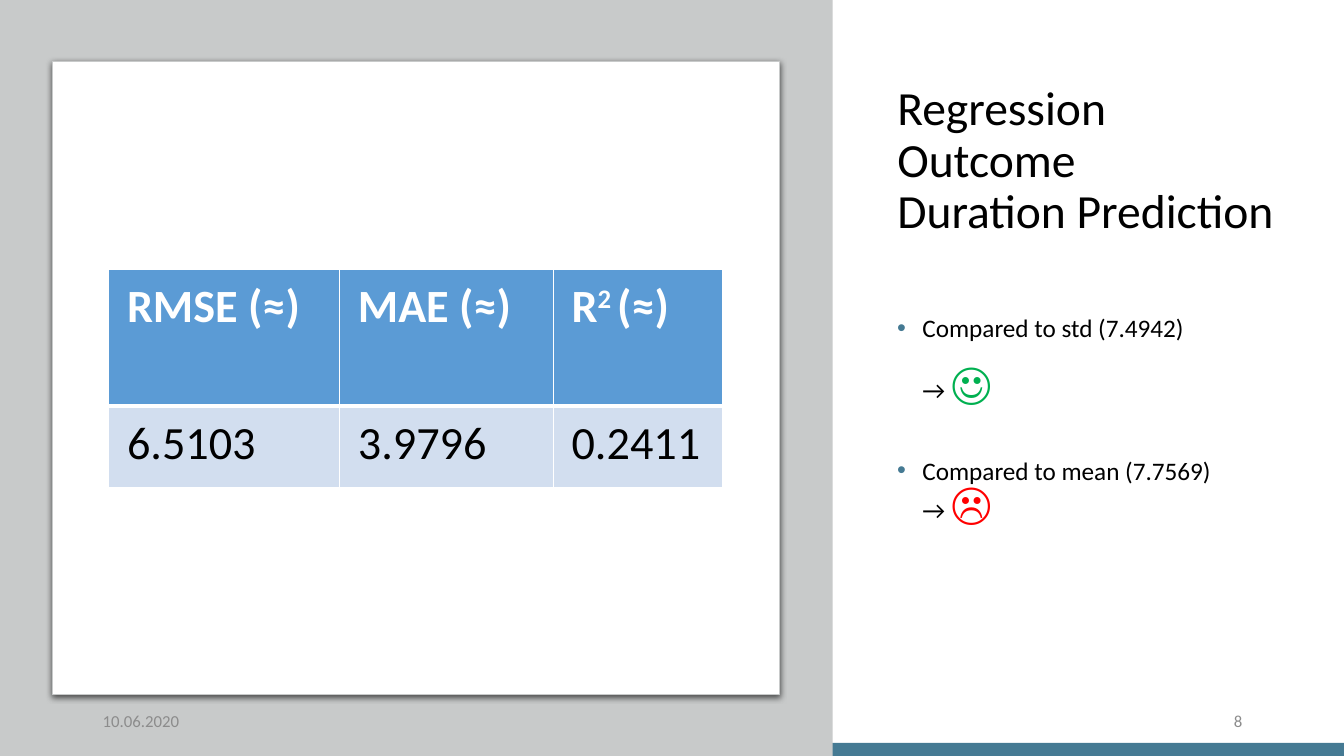
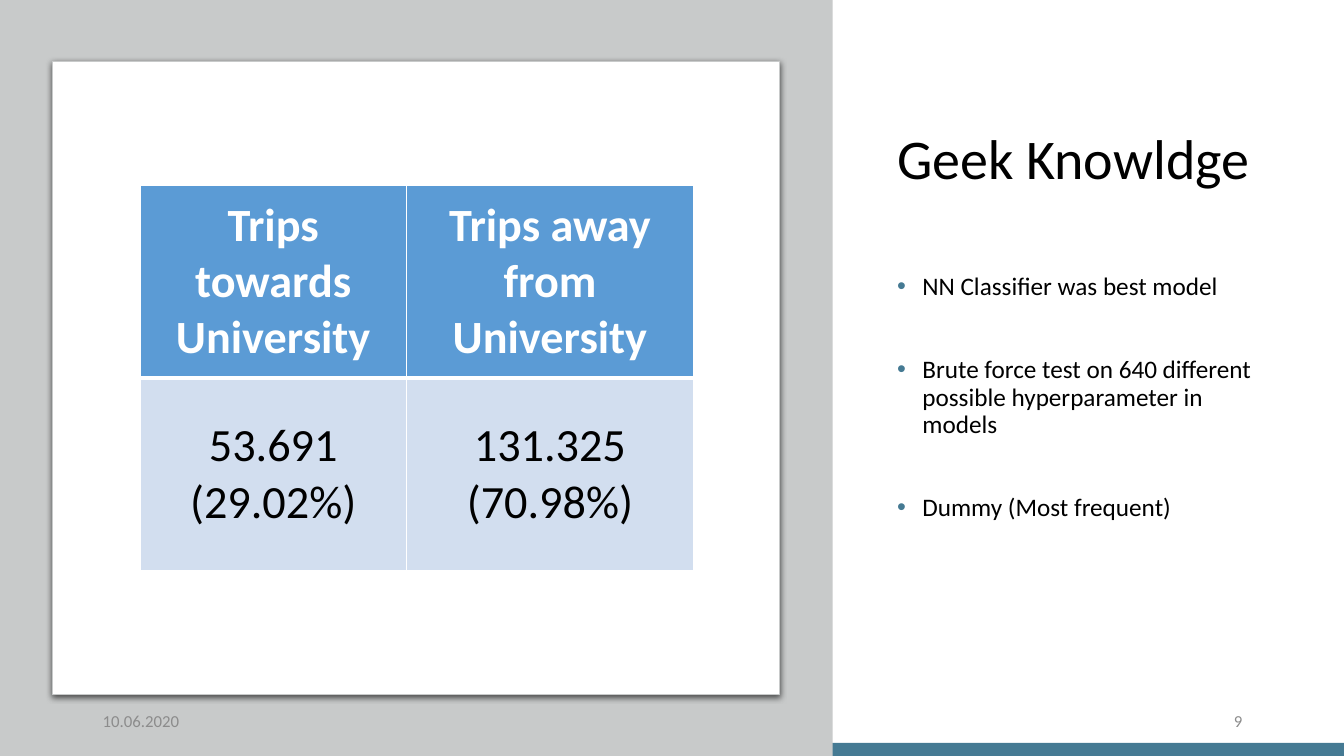
"""Build two slides with result tables beside a text panel."""
from dataclasses import dataclass
from typing import Any

import pptx
import pptx.dml.color
import pptx.enum.shapes
import pptx.enum.text
import pptx.oxml
import pptx.oxml.ns
import pptx.util

RGBColor = pptx.dml.color.RGBColor
Inches = pptx.util.Inches
Pt = pptx.util.Pt
Align = pptx.enum.text.PP_ALIGN
Anchor = pptx.enum.text.MSO_ANCHOR

FONT = "Calibri"
TEAL = RGBColor(0x45, 0x7A, 0x93)
GREY = RGBColor(0xC8, 0xCA, 0xCA)
WHITE = RGBColor(0xFF, 0xFF, 0xFF)
BLACK = RGBColor(0x00, 0x00, 0x00)
MUTED = RGBColor(0x8C, 0x8C, 0x8C)
BLUE = RGBColor(0x5B, 0x9B, 0xD5)
PALE = RGBColor(0xD2, 0xDE, 0xEF)
GREEN = RGBColor(0x00, 0xB0, 0x50)
RED = RGBColor(0xFF, 0x00, 0x00)
NS = pptx.oxml.ns.nsdecls("a")

WIDTH, HEIGHT = 13.33, 7.5
SPLIT = 8.26
LEFT = 8.8


@dataclass(frozen=True)
class Span:
    """A piece of text with its own format."""
    text: str
    size: float = 18
    color: RGBColor = BLACK
    raised: bool = False


@dataclass(frozen=True)
class Item:
    """A paragraph of the text panel."""
    spans: tuple[Span, ...]
    before: float = 0
    bullet: bool = True


@dataclass(frozen=True)
class Grid:
    """A table with a header row and a value row."""
    left: float
    top: float
    cols: tuple[float, ...]
    rows: tuple[float, ...]
    cells: tuple[tuple[tuple[Span, ...], ...], ...]
    align: Align
    anchor: Anchor


@dataclass(frozen=True)
class Page:
    """The content of one slide."""
    number: int
    title: str
    size: float
    top: float
    pitch: float
    items: tuple[Item, ...]
    grid: Grid


def plain(*texts: str) -> tuple[tuple[Span, ...], ...]:
    """Turn strings into cells of one span each."""
    return tuple((Span(text),) for text in texts)


def write(para: Any, text: str, *, size: float, color: RGBColor = BLACK,
          bold: bool = False, raised: bool = False) -> None:
    """Add formatted text, with a line break at each newline."""
    for index, line in enumerate(text.split("\n")):
        if index:
            para.add_line_break()
        run = para.add_run()
        run.text = line
        run.font.name = FONT
        run.font.size = Pt(size)
        run.font.bold = bold
        run.font.color.rgb = color
        if raised:
            run._r.get_or_add_rPr().set("baseline", "30000")


def block(slide: Any, left: float, top: float, width: float, height: float,
          fill: RGBColor) -> Any:
    """Draw a filled rectangle without line or shadow."""
    shape = slide.shapes.add_shape(
        pptx.enum.shapes.MSO_SHAPE.RECTANGLE,
        Inches(left), Inches(top), Inches(width), Inches(height))
    shape.fill.solid()
    shape.fill.fore_color.rgb = fill
    shape.line.fill.background()
    shape.shadow.inherit = False
    return shape


def field(slide: Any, left: float, top: float, width: float, height: float,
          anchor: Anchor = Anchor.TOP) -> Any:
    """Add a wrapping text box and return its frame."""
    box = slide.shapes.add_textbox(
        Inches(left), Inches(top), Inches(width), Inches(height))
    frame = box.text_frame
    frame.word_wrap = True
    frame.vertical_anchor = anchor
    return frame


def base(slide: Any, page: Page) -> None:
    """Draw the bands, card, title and footer."""
    block(slide, 0, 7.37, WIDTH, 0.13, TEAL)
    block(slide, 0, 0, SPLIT, HEIGHT, GREY)
    card = block(slide, 0.52, 0.61, 7.21, 6.28, WHITE)
    card.line.color.rgb = GREY
    card.line.width = Pt(0.75)
    effect = card._element.spPr.find(pptx.oxml.ns.qn("a:effectLst"))
    effect.append(pptx.oxml.parse_xml(
        f'<a:outerShdw {NS} blurRad="{Pt(4.5)}" dist="{Pt(1.5)}" '
        'dir="5400000" algn="t" rotWithShape="0"><a:srgbClr val="000000">'
        '<a:alpha val="63000"/></a:srgbClr></a:outerShdw>'))

    title = slide.shapes.title
    title.left, title.top = Inches(LEFT), Inches(0.69)
    title.width, title.height = Inches(4.01), Inches(1.83)
    frame = title.text_frame
    frame.word_wrap = True
    frame.auto_size = pptx.enum.text.MSO_AUTO_SIZE.NONE
    frame.vertical_anchor = Anchor.MIDDLE
    para = frame.paragraphs[0]
    para.alignment = Align.LEFT
    para.line_spacing = 0.9
    write(para, page.title, size=page.size)

    for left, text, align in ((0.92, "10.06.2020", Align.LEFT),
                              (9.42, str(page.number), Align.RIGHT)):
        para = field(slide, left, 6.95, 3, 0.4, Anchor.MIDDLE).paragraphs[0]
        para.alignment = align
        write(para, text, size=12, color=MUTED)


def panel(slide: Any, page: Page) -> None:
    """Write the paragraphs beside the card."""
    frame = field(slide, LEFT, page.top, 4.01, 6.8 - page.top)
    for index, item in enumerate(page.items):
        para = frame.add_paragraph() if index else frame.paragraphs[0]
        props = para._p.get_or_add_pPr()
        props.set("marL", str(Inches(0.25)))
        if item.bullet:
            props.set("indent", str(-Inches(0.25)))
            for mark in (f'<a:buClr {NS}><a:srgbClr val="{TEAL}"/></a:buClr>',
                         f'<a:buFont {NS} typeface="Arial"/>',
                         f'<a:buChar {NS} char="•"/>'):
                props.append(pptx.oxml.parse_xml(mark))
        para.line_spacing = page.pitch
        para.space_before = Pt(item.before)
        for span in item.spans:
            write(para, span.text, size=span.size, color=span.color)


def edge(cell: Any, head: bool) -> None:
    """Give a cell white borders, thick between the rows."""
    props = cell._tc.get_or_add_tcPr()
    thick = "B" if head else "T"
    for side in "LRTB":
        width = Pt(3 if side == thick else 1)
        props.append(pptx.oxml.parse_xml(
            f'<a:ln{side} {NS} w="{width}"><a:solidFill>'
            f'<a:srgbClr val="{WHITE}"/></a:solidFill></a:ln{side}>'))


def table(slide: Any, grid: Grid) -> None:
    """Draw the table on the card."""
    sheet = slide.shapes.add_table(
        len(grid.rows), len(grid.cols), Inches(grid.left), Inches(grid.top),
        Inches(sum(grid.cols)), Inches(sum(grid.rows))).table
    sheet.horz_banding = False
    for col, width in zip(sheet.columns, grid.cols):
        col.width = Inches(width)
    for row, height in zip(sheet.rows, grid.rows):
        row.height = Inches(height)
    for y, line in enumerate(grid.cells):
        head = y == 0
        for x, spans in enumerate(line):
            cell = sheet.cell(y, x)
            edge(cell, head)
            cell.fill.solid()
            cell.fill.fore_color.rgb = BLUE if head else PALE
            cell.margin_left = cell.margin_right = Inches(0.18)
            cell.margin_top = cell.margin_bottom = Inches(0.09)
            cell.vertical_anchor = grid.anchor
            para = cell.text_frame.paragraphs[0]
            para.alignment = grid.align
            for span in spans:
                write(para, span.text, size=33, bold=head, raised=span.raised,
                      color=WHITE if head else BLACK)


PAGES = (
    Page(8, "Regression Outcome\nDuration Prediction", 34, 3.11, 0.8, (
        Item((Span("Compared to std (7.4942)"),)),
        Item((Span("→ "), Span("☺", 32, GREEN)), 16, False),
        Item((Span("Compared to mean (7.7569)"),), 37.6),
        Item((Span("→ "), Span("☹", 32, RED)), 0, False),
    ), Grid(1.08, 2.67, (2.29, 2.12, 1.68), (1.36, 0.81), (
        plain("RMSE (≈)", "MAE (≈)")
        + ((Span("R"), Span("2 ", raised=True), Span("(≈)")),),
        plain("6.5103", "3.9796", "0.2411"),
    ), Align.LEFT, Anchor.TOP)),
    Page(9, "Geek Knowldge", 40, 2.67, 0.9, (
        Item((Span("NN Classifier was best model"),)),
        Item((Span("Brute force test on 640 different possible "
                   "hyperparameter in models"),), 39.8),
        Item((Span("Dummy (Most frequent)"),), 39.8),
    ), Grid(1.39, 1.84, (2.64, 2.85), (1.91, 1.91), (
        plain("Trips towards University", "Trips away from University"),
        plain("53.691\n(29.02%)", "131.325\n(70.98%)"),
    ), Align.CENTER, Anchor.MIDDLE)),
)


def main() -> None:
    """Build and save the slides."""
    deck = pptx.Presentation()
    deck.slide_width, deck.slide_height = Inches(WIDTH), Inches(HEIGHT)
    for page in PAGES:
        slide = deck.slides.add_slide(deck.slide_layouts[5])
        base(slide, page)
        panel(slide, page)
        table(slide, page.grid)
    deck.save("out.pptx")


if __name__ == "__main__":
    main()
